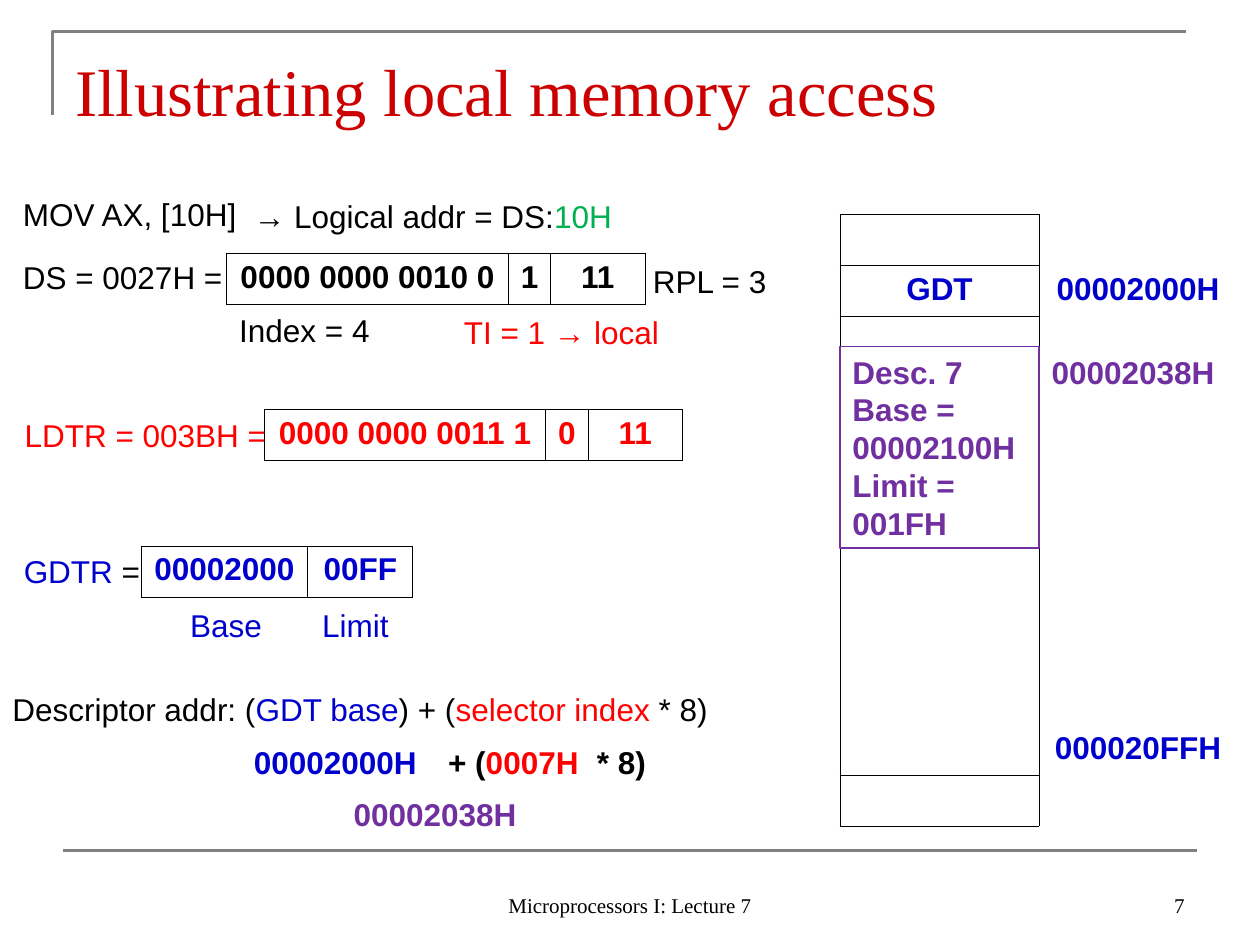
import pptx
import pptx.dml.color
import pptx.enum.shapes
import pptx.enum.text
import pptx.oxml
import pptx.oxml.ns
import pptx.util
from lxml import etree

Pt = pptx.util.Pt
ALIGN = pptx.enum.text.PP_ALIGN
ANCHOR = pptx.enum.text.MSO_ANCHOR
COLOURS = {
    "black": "000000", "grey": "808080", "title": "CC0000", "red": "FF0000",
    "blue": "0000CC", "green": "00B050", "purple": "7030A0",
}
PLAIN_TABLE = "{2D5ABB26-0587-4C30-8999-92F81FD0307C}"
LABEL_HEIGHT = 29
ROW_HEIGHT = 29.16
SELECTOR_WIDTHS = (160.8, 24.4, 53.8)


def rgb(name):
    return pptx.dml.color.RGBColor.from_string(COLOURS[name])


def write(para, spans, size=18, font="Arial", bold=False, align=ALIGN.LEFT):
    """Fill a paragraph with (text, colour) spans."""
    para.alignment = align
    for text, colour in spans:
        span = para.add_run()
        span.text = text
        span.font.size = Pt(size)
        span.font.name = font
        span.font.bold = bold
        span.font.color.rgb = rgb(colour)


def add_label(page, left, top, width, spans, height=LABEL_HEIGHT,
              anchor=ANCHOR.TOP, **style):
    box = page.shapes.add_textbox(Pt(left), Pt(top), Pt(width), Pt(height))
    frame = box.text_frame
    frame.word_wrap = True
    frame.vertical_anchor = anchor
    write(frame.paragraphs[0], spans, **style)


def set_borders(cell, sides):
    """Draw thin black lines on the sides named, out of L, R, T and B."""
    properties = cell._tc.get_or_add_tcPr()
    for place, side in enumerate(side for side in "LRTB" if side in sides):
        line = pptx.oxml.parse_xml(
            f'<a:ln{side} {pptx.oxml.ns.nsdecls("a")} w="{Pt(0.45)}"><a:solidFill>'
            f'<a:srgbClr val="{COLOURS["black"]}"/></a:solidFill></a:ln{side}>')
        properties.insert(place, line)


def add_plain_table(page, left, top, widths, row_count):
    frame = page.shapes.add_table(row_count, len(widths), Pt(left), Pt(top),
                                  Pt(sum(widths)), Pt(ROW_HEIGHT * row_count))
    table = frame.table
    table.first_row = table.horz_banding = False
    table._tbl.tblPr.find(pptx.oxml.ns.qn("a:tableStyleId")).text = PLAIN_TABLE
    for column, width in zip(table.columns, widths):
        column.width = Pt(width)
    for row in table.rows:
        row.height = Pt(ROW_HEIGHT)
    for cell in table.iter_cells():
        cell.fill.background()
    return table


def write_cell(cell, text, colour):
    write(cell.text_frame.paragraphs[0], [(text, colour)], bold=True,
          align=ALIGN.CENTER)


def add_register(page, left, top, widths, values, colour):
    table = add_plain_table(page, left, top, widths, 1)
    for cell, value in zip(table.iter_cells(), values):
        set_borders(cell, "LRTB")
        write_cell(cell, value, colour)


def add_rule(page, left, top, width):
    rule = page.shapes.add_connector(pptx.enum.shapes.MSO_CONNECTOR.STRAIGHT,
                                     Pt(left), Pt(top), Pt(left + width), Pt(top))
    rule.line.color.rgb = rgb("grey")
    rule.line.width = Pt(1.5)
    etree.SubElement(rule._element.spPr, pptx.oxml.ns.qn("a:effectLst"))


def add_header(page, left, top, width):
    builder = page.shapes.build_freeform(Pt(left), Pt(top + 48))
    builder.add_line_segments([(Pt(left), Pt(top)), (Pt(left + width), Pt(top))],
                              close=False)
    corner = builder.convert_to_shape()
    corner.shadow.inherit = False
    corner.fill.background()
    corner.line.color.rgb = rgb("grey")
    corner.line.width = Pt(1.5)
    add_label(page, left + 6, top + 3.6, width,
              [("Illustrating local memory access", "title")], height=56,
              anchor=ANCHOR.BOTTOM, size=38, font="Times New Roman")


def add_footer(page, left, top, width):
    add_rule(page, left, top, width)
    style = {"height": 36, "anchor": ANCHOR.BOTTOM, "size": 12,
             "font": "Times New Roman"}
    add_label(page, left + 210, top + 6, 228,
              [("Microprocessors I: Lecture 7", "black")], align=ALIGN.CENTER, **style)
    add_label(page, left + width - 168, top + 6, 168, [("7", "black")],
              align=ALIGN.RIGHT, **style)


def add_data_selector(page, left, top):
    add_label(page, left, top, 144, [("MOV AX, [10H]", "black")])
    add_label(page, left + 132, top + 1, 222,
              [("→ Logical addr = DS:", "black"), ("10H", "green")])
    add_label(page, left, top + 36, 132, [("DS = 0027H =", "black")])
    add_register(page, left + 123.6, top + 36.7, SELECTOR_WIDTHS,
                 ("0000 0000 0010 0", "1", "11"), "black")
    add_label(page, left + 360, top + 38, 96, [("RPL = 3", "black")])
    add_label(page, left + 123.6, top + 66, 96, [("Index = 4", "black")])
    add_label(page, left + 252, top + 67.5, 162, [("TI = 1 → local", "red")])


def add_local_table_register(page, left, top):
    add_label(page, left, top, 153, [("LDTR = 003BH =", "red")])
    add_register(page, left + 144, top, SELECTOR_WIDTHS,
                 ("0000 0000 0011 1", "0", "11"), "red")


def add_global_table_register(page, left, top):
    add_label(page, left, top, 87, [("GDTR ", "blue"), ("=", "black")])
    add_register(page, left + 74, top, (95.4, 60), ("00002000", "00FF"), "blue")
    add_label(page, left + 95, top + 31, 70, [("Base", "blue")])
    add_label(page, left + 170.5, top + 31, 70, [("Limit", "blue")])


def add_address_sum(page, left, top):
    add_label(page, left, top, 432, [
        ("Descriptor addr: (", "black"), ("GDT base", "blue"), (") + (", "black"),
        ("selector index ", "red"), ("* 8)", "black")])
    add_label(page, left + 138, top + 30, 111, [("00002000H", "blue")], bold=True)
    add_label(page, left + 249, top + 30, 100,
              [("+ (", "black"), ("0007H", "red")], bold=True)
    add_label(page, left + 334, top + 30, 60, [("* 8)", "black")], bold=True)
    add_label(page, left + 195, top + 60, 111, [("00002038H", "purple")], bold=True)


def add_memory_map(page, left, top):
    width, row_count = 113.8, 12
    table = add_plain_table(page, left, top, (width, 113), row_count)
    edges = {0: "LRTB", 1: "LRT", row_count - 2: "LRB", row_count - 1: "LRTB"}
    for row in range(row_count):
        set_borders(table.cell(row, 0), edges.get(row, "LR"))
    write_cell(table.cell(1, 0), "GDT", "blue")
    write_cell(table.cell(1, 1), "00002000H", "blue")
    write_cell(table.cell(row_count - 2, 1), "000020FFH", "blue")

    add_label(page, left + width, top + 75.6, 111, [("00002038H", "purple")], bold=True)
    box = page.shapes.add_shape(pptx.enum.shapes.MSO_SHAPE.RECTANGLE, Pt(left),
                                Pt(top + 75.6), Pt(width), Pt(115.2))
    box.shadow.inherit = False
    box.fill.background()
    box.line.color.rgb = rgb("purple")
    box.line.width = Pt(0.75)
    frame = box.text_frame
    frame.word_wrap = True
    frame.vertical_anchor = ANCHOR.TOP
    lines = ("Desc. 7", "Base = 00002100H", "Limit =", "001FH")
    for number, text in enumerate(lines):
        para = frame.add_paragraph() if number else frame.paragraphs[0]
        write(para, [(text, "purple")], bold=True)


def main():
    deck = pptx.Presentation()
    deck.slide_width, deck.slide_height = Pt(720), Pt(540)
    page = deck.slides.add_slide(deck.slide_layouts[6])
    add_header(page, 30, 18, 648)
    add_footer(page, 36, 486, 648)
    add_data_selector(page, 6, 108)
    add_local_table_register(page, 7, 234)
    add_global_table_register(page, 6.5, 312)
    add_address_sum(page, 0, 391)
    add_memory_map(page, 480, 122.4)
    deck.save("out.pptx")


if __name__ == "__main__":
    main()
